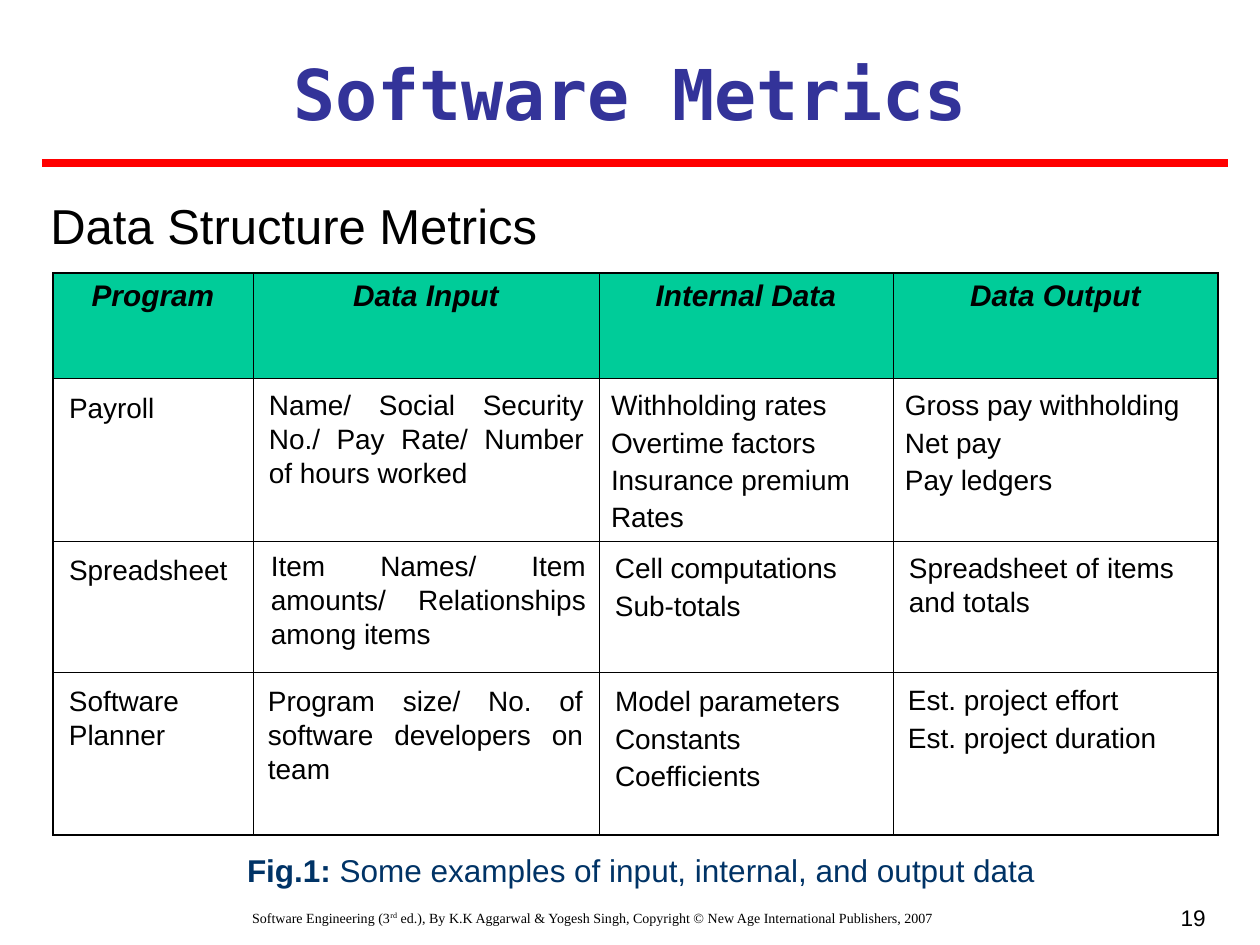
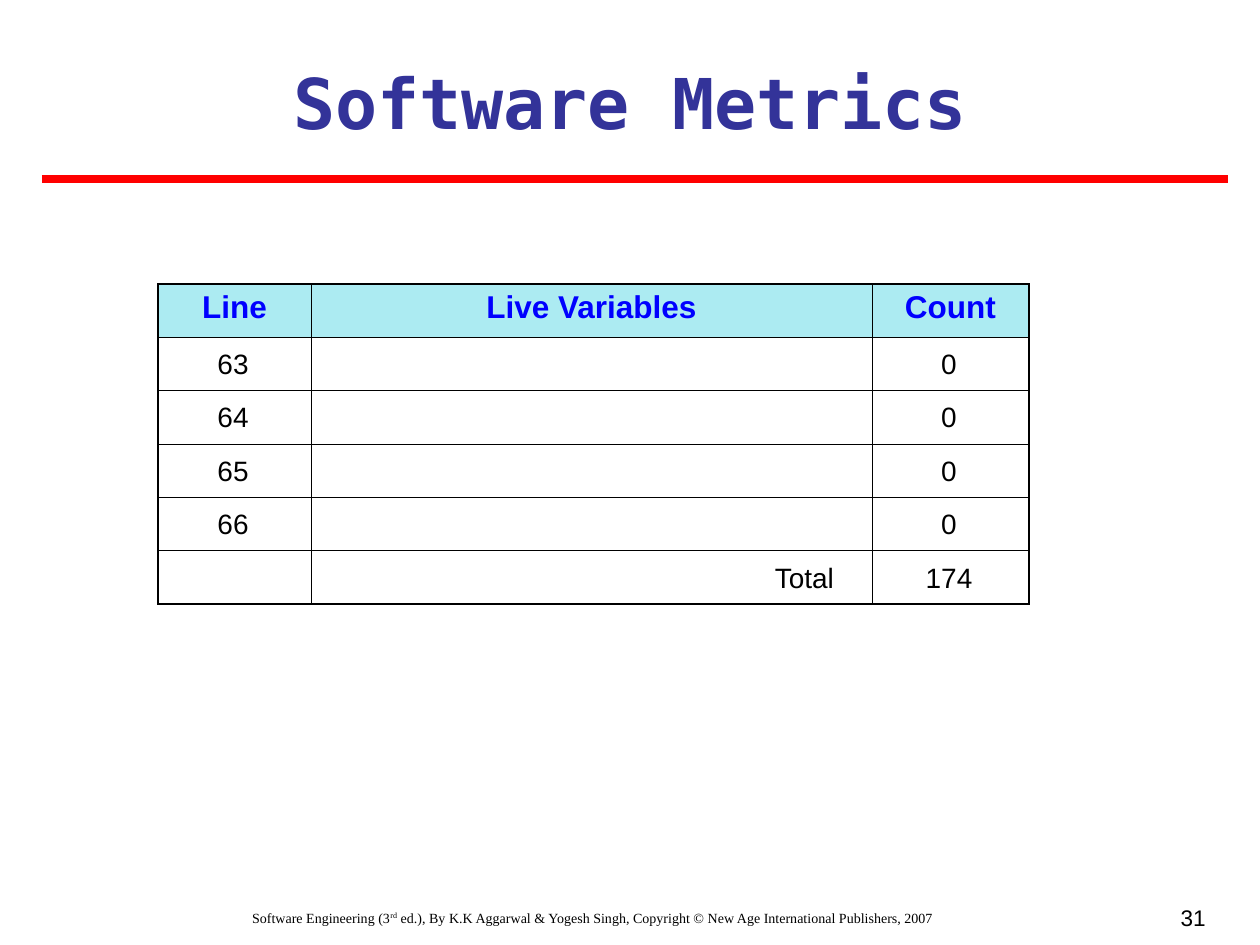
from lxml import etree
from pptx import Presentation
from pptx.dml.color import RGBColor
from pptx.enum.shapes import MSO_CONNECTOR
from pptx.enum.text import PP_ALIGN
from pptx.oxml.ns import qn
from pptx.util import Pt

LEFT, CENTER, RIGHT, JUSTIFY = PP_ALIGN.LEFT, PP_ALIGN.CENTER, PP_ALIGN.RIGHT, PP_ALIGN.JUSTIFY
STRAIGHT = MSO_CONNECTOR.STRAIGHT
SCALE = 914400 / 126
COLORS = {"black": "000000", "title": "333399", "rule": "FF0000", "caption": "003366",
          "green": "00CC99", "aqua": "ACEBF2", "blue": "0000FF"}
OUTER_BORDER, INNER_BORDER = 1.08, 0.45


def emu(*lengths):
    return [round(length * SCALE) for length in lengths]


def write(frame, text, size=16, color="black", font="Arial", align=LEFT, bold=False,
          italic=False, margins=(0, 0), space_before=2):
    """Each line is a paragraph; a list holds (text, overrides) spans of one line."""
    frame.word_wrap = True
    frame.margin_left = frame.margin_right = Pt(margins[0])
    frame.margin_top = frame.margin_bottom = Pt(margins[1])
    lines = [[(line, {})] for line in text.split("\n")] if isinstance(text, str) else [text]
    for index, line in enumerate(lines):
        para = frame.add_paragraph() if index else frame.paragraphs[0]
        para.alignment = align
        if index:
            para.space_before = Pt(space_before)
        for words, overrides in line:
            span = para.add_run()
            span.text = words
            span.font.name, span.font.size = font, Pt(size)
            span.font.bold = overrides.get("bold", bold)
            span.font.italic = italic
            span.font.color.rgb = RGBColor.from_string(COLORS[color])
            if "baseline" in overrides:
                span.font._element.set("baseline", overrides["baseline"])


# Shared text styles
INSET = {"margins": (7.2, 3.6)}
TITLE = {"size": 40, "color": "title", "font": "DejaVu Sans Mono", "bold": True,
         "align": CENTER, **INSET}
FOOTER = {"size": 8, "font": "Times New Roman", "align": CENTER, **INSET}
NUMBER = {"size": 12.9, "align": RIGHT, **INSET}
FOOTER_TEXT = [
    ("Software Engineering (3", {}), ("rd", {"baseline": "30000"}),
    (" ed.), By K.K Aggarwal & Yogesh Singh, Copyright © New Age International Publishers, 2007", {})]

# Data structure examples: place, text, format
justified = {"align": JUSTIFY}
example_boxes = [
    ((38, 189, 1061, 72), "Data Structure Metrics", {"size": 28, **INSET}),
    ((69, 391, 168, 34), "Payroll", {}),
    ((269, 388, 315, 101), "Name/ Social Security No./ Pay Rate/ Number of hours worked", justified),
    ((611, 388, 271, 145),
     "Withholding rates\nOvertime factors\nInsurance premium\nRates", justified),
    ((905, 388, 302, 108), "Gross pay withholding\nNet pay\nPay ledgers", justified),
    ((69, 553, 168, 34), "Spreadsheet", {}),
    ((271, 549, 315, 101), "Item Names/ Item amounts/ Relationships among items", justified),
    ((615, 551, 265, 71), "Cell computations\nSub-totals", justified),
    ((909, 551, 265, 67), "Spreadsheet of items and totals", justified),
    ((69, 684, 161, 67), "Software Planner", {}),
    ((268, 684, 315, 101), "Program size/ No. of software developers on team", justified),
    ((615, 684, 256, 108), "Model parameters\nConstants\nCoefficients", justified),
    ((908, 683, 256, 71), "Est. project effort\nEst. project duration", justified),
    ((158, 851, 966, 38),
     [("Fig.1:", {"bold": True}), (" Some examples of input, internal, and output data", {})],
     {"size": 18, "color": "caption", "align": CENTER}),
]

# Live variables: line numbers and counts at an even pitch
count_boxes = []
for row, (line_number, count) in enumerate(
        [("63", "0"), ("64", "0"), ("65", "0"), ("66", "0"), (None, "174")]):
    top = 347 + 107 * row // 2
    if line_number:
        count_boxes.append(((191, top, 84, 34), line_number, {"align": CENTER}))
    else:
        count_boxes.append(((340, top, 494, 34), "Total", {"align": RIGHT}))
    count_boxes.append(((907, top, 84, 34), count, {"align": CENTER}))

pages = [
    {"number": "19", "title_top": 44, "rule_top": 163, "boxes": example_boxes,
     "corner": (53, 273), "columns": [200, 346, 294, 325], "rows": [105, 163, 131, 163],
     "headers": ["Program", "Data Input", "Internal Data", "Data Output"], "fill": "green",
     "header_style": {"size": 17, "italic": True}},
    {"number": "31", "title_top": 53, "rule_top": 179, "boxes": count_boxes,
     "corner": (158, 284), "columns": [153, 561, 157], "rows": [320 / 6] * 6,
     "headers": ["Line", "Live Variables", "Count"], "fill": "aqua",
     "header_style": {"size": 18, "color": "blue"}},
]

deck = Presentation()
deck.slide_width, deck.slide_height = emu(1260, 945)

for content in pages:
    page = deck.slides.add_slide(deck.slide_layouts[6])

    # Title rule
    top = content["rule_top"]
    rule = page.shapes.add_connector(STRAIGHT, *emu(42, top, 1228, top))
    rule.line.color.rgb = RGBColor.from_string(COLORS["rule"])
    rule.line.width = Pt(4.5)
    etree.SubElement(rule._element.spPr, qn("a:effectLst"))

    # Table grid with header texts
    columns, rows = content["columns"], content["rows"]
    table = page.shapes.add_table(
        len(rows), len(columns), *emu(*content["corner"], sum(columns), sum(rows))).table
    table.first_row = table.horz_banding = False
    for column, width in zip(table.columns, emu(*columns)):
        column.width = width
    for row, height in zip(table.rows, emu(*rows)):
        row.height = height
    for row in range(len(rows)):
        for column in range(len(columns)):
            cell = table.cell(row, column)
            properties = cell._tc.get_or_add_tcPr()
            edges = {"a:lnL": column == 0, "a:lnR": column == len(columns) - 1,
                     "a:lnT": row == 0, "a:lnB": row == len(rows) - 1}
            for tag, is_outer in edges.items():
                width = Pt(OUTER_BORDER if is_outer else INNER_BORDER)
                border = etree.SubElement(properties, qn(tag), w=str(width))
                paint = etree.SubElement(border, qn("a:solidFill"))
                etree.SubElement(paint, qn("a:srgbClr"), val=COLORS["black"])
            if row:
                cell.fill.background()
                continue
            cell.fill.solid()
            cell.fill.fore_color.rgb = RGBColor.from_string(COLORS[content["fill"]])
            write(cell.text_frame, content["headers"][column], bold=True, align=CENTER,
                  **INSET, **content["header_style"])

    # Title, footer, page number and the page's own texts
    shared_boxes = [
        ((42, content["title_top"], 1176, 97), "Software Metrics", TITLE),
        ((31, 903, 1124, 42), FOOTER_TEXT, FOOTER),
        ((924, 898, 294, 42), content["number"], NUMBER),
    ]
    for place, text, style in shared_boxes + content["boxes"]:
        box = page.shapes.add_textbox(*emu(*place))
        write(box.text_frame, text, **style)

deck.save("out.pptx")
